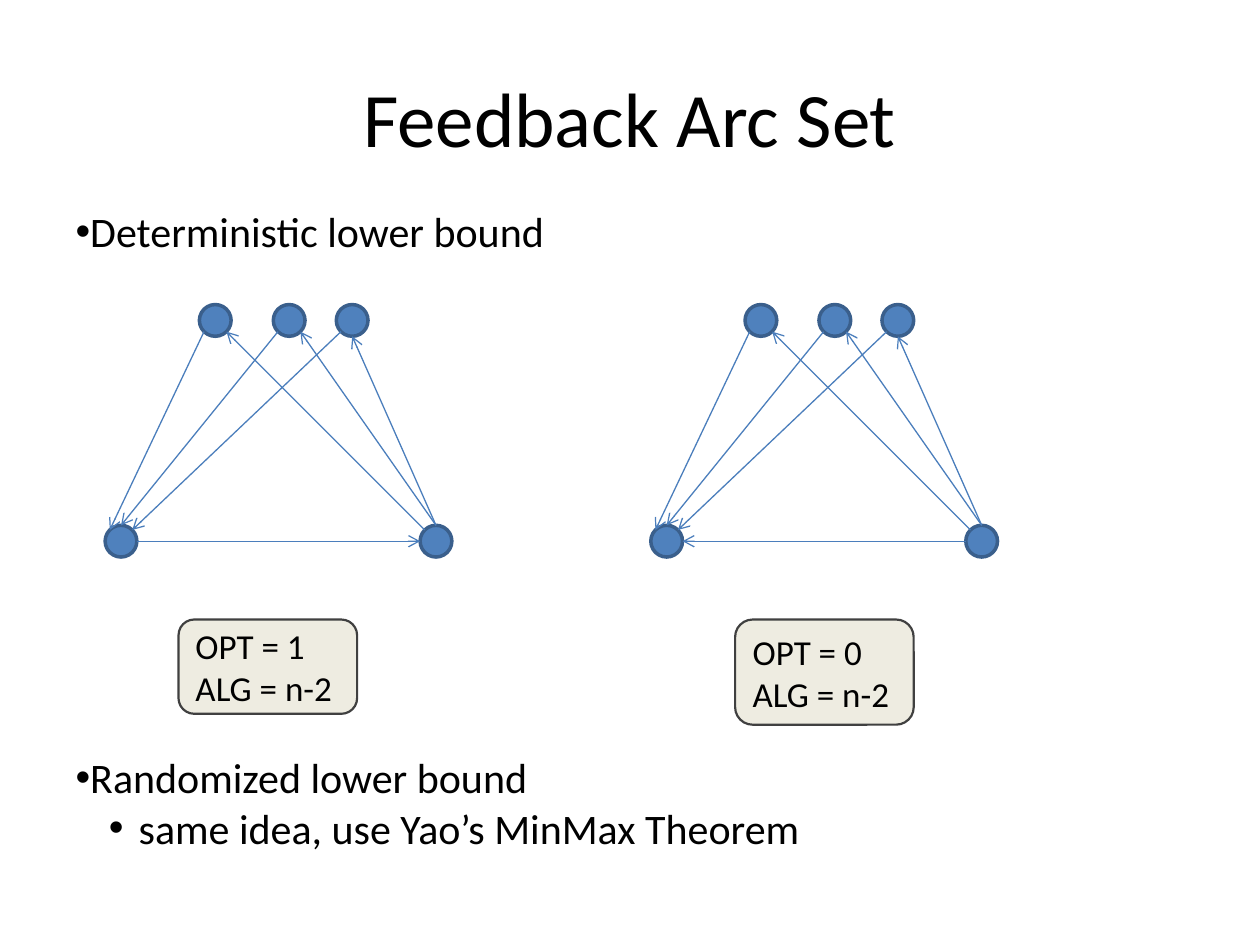
from math import sqrt

from pptx import Presentation
from pptx.dml.color import RGBColor
from pptx.enum.shapes import MSO_CONNECTOR as Connector, MSO_SHAPE as Shape
from pptx.enum.text import MSO_ANCHOR as Anchor, MSO_AUTO_SIZE as AutoSize, PP_ALIGN as Align
from pptx.oxml.ns import qn
from pptx.util import Cm, Pt
from lxml.etree import SubElement

BLACK = RGBColor(0x00, 0x00, 0x00)
NODE_FILL = RGBColor(0x4F, 0x81, 0xBD)
NODE_EDGE = RGBColor(0x3A, 0x5F, 0x8C)
ARC_BLUE = RGBColor(0x4B, 0x7E, 0xBC)
BOX_FILL = RGBColor(0xEE, 0xEC, 0xE1)
BOX_EDGE = RGBColor(0x40, 0x40, 0x40)
FONT = "Calibri"

# Node corners in cm, relative to the top left of a graph
NODE_SIZE = 0.64
NODES = {
    "left": (0, 4.45),
    "right": (6.35, 4.45),
    "top1": (1.9, 0),
    "top2": (3.39, 0),
    "top3": (4.66, 0),
}

# Directions from a node's centre to a point on its rim
DIAG = sqrt(0.5)
N, S, W, E = (0, -1), (0, 1), (-1, 0), (1, 0)
NW, NE, SW, SE = (-DIAG, -DIAG), (DIAG, -DIAG), (-DIAG, DIAG), (DIAG, DIAG)

SHARED_ARCS = [
    (("top1", SW), ("left", NW)),
    (("right", NW), ("top1", SE)),
    (("top2", SW), ("left", N)),
    (("right", N), ("top2", SE)),
    (("right", N), ("top3", S)),
    (("top3", SW), ("left", NE)),
]
BASE_ARC = (("left", E), ("right", W))


def place(shape, left, top, width, height):
    shape.left, shape.top = Cm(left), Cm(top)
    shape.width, shape.height = Cm(width), Cm(height)


def add_run(paragraph, text, size):
    run = paragraph.add_run()
    run.text = text
    run.font.name = FONT
    run.font.size = Pt(size)
    run.font.color.rgb = BLACK


def add_filled(slide, preset, box, fill, edge, edge_width):
    shape = slide.shapes.add_shape(preset, *(Cm(length) for length in box))
    shape.shadow.inherit = False
    shape.fill.solid()
    shape.fill.fore_color.rgb = fill
    shape.line.color.rgb = edge
    shape.line.width = Pt(edge_width)
    return shape


def add_arc(slide, start, end):
    arc = slide.shapes.add_connector(
        Connector.STRAIGHT, *(Cm(length) for length in start + end))
    arc.line.color.rgb = ARC_BLUE
    arc.line.width = Pt(0.75)
    properties = arc.line._get_or_add_ln()
    SubElement(properties, qn("a:tailEnd"), type="arrow")
    SubElement(properties.getparent(), qn("a:effectLst"))


def add_graph(slide, left, top, base_arc):
    """Draw the five nodes, the shared arcs and the given base arc."""
    for x, y in NODES.values():
        add_filled(slide, Shape.OVAL, (left + x, top + y, NODE_SIZE, NODE_SIZE),
                   NODE_FILL, NODE_EDGE, 2)

    def rim(node, direction):
        x, y = NODES[node]
        radius = NODE_SIZE / 2
        return (left + x + radius * (1 + direction[0]),
                top + y + radius * (1 + direction[1]))

    for tail, head in [base_arc, *SHARED_ARCS]:
        add_arc(slide, rim(*tail), rim(*head))


def add_cost_box(slide, left, top, width, height, costs):
    box = add_filled(slide, Shape.ROUNDED_RECTANGLE, (left, top, width, height),
                     BOX_FILL, BOX_EDGE, 1.25)
    frame = box.text_frame
    frame.word_wrap = True
    frame.vertical_anchor = Anchor.MIDDLE
    for index, cost in enumerate(costs):
        paragraph = frame.add_paragraph() if index else frame.paragraphs[0]
        paragraph.alignment = Align.LEFT
        add_run(paragraph, cost, 20)


def fill_title(title, left, top, width, height, text):
    place(title, left, top, width, height)
    title.text_frame.vertical_anchor = Anchor.MIDDLE
    paragraph = title.text_frame.paragraphs[0]
    paragraph.alignment = Align.CENTER
    add_run(paragraph, text, 44)


def fill_list(body, left, top, width, height, items):
    """Fill a body placeholder with (level, text) items."""
    margins = [(0, 0), (1.27, -0.6)]
    place(body, left, top, width, height)
    frame = body.text_frame
    frame.auto_size = AutoSize.NONE
    for index, (level, text) in enumerate(items):
        paragraph = frame.add_paragraph() if index else frame.paragraphs[0]
        paragraph.level = level
        paragraph.space_before = Pt(0)
        properties = paragraph._p.get_or_add_pPr()
        margin, indent = margins[level]
        properties.set("marL", str(Cm(margin)))
        properties.set("indent", str(Cm(indent)))
        SubElement(properties, qn("a:buFont"), typeface="Arial")
        SubElement(properties, qn("a:buChar"), char="•")
        add_run(paragraph, text, 24)


def main():
    deck = Presentation()
    deck.slide_width, deck.slide_height = Cm(25.4), Cm(19.05)
    slide = deck.slides.add_slide(deck.slide_layouts.get_by_name("Two Content"))
    title, deterministic, randomized = slide.placeholders

    fill_title(title, 1.27, 0.76, 22.86, 3.18, "Feedback Arc Set")
    fill_list(deterministic, 1.27, 4.02, 11.64, 2.05,
              [(0, "Deterministic lower bound")])
    add_graph(slide, 2.12, 6.14, BASE_ARC)
    add_graph(slide, 13.12, 6.14, BASE_ARC[::-1])
    add_cost_box(slide, 3.6, 12.49, 3.6, 1.9, ["OPT = 1", "ALG = n-2"])
    add_cost_box(slide, 14.82, 12.49, 3.6, 2.12, ["OPT = 0", "ALG = n-2"])
    fill_list(randomized, 1.27, 15.03, 15.88, 3.07,
              [(0, "Randomized lower bound"),
               (1, "same idea, use Yao’s MinMax Theorem")])

    deck.save("out.pptx")


if __name__ == "__main__":
    main()
